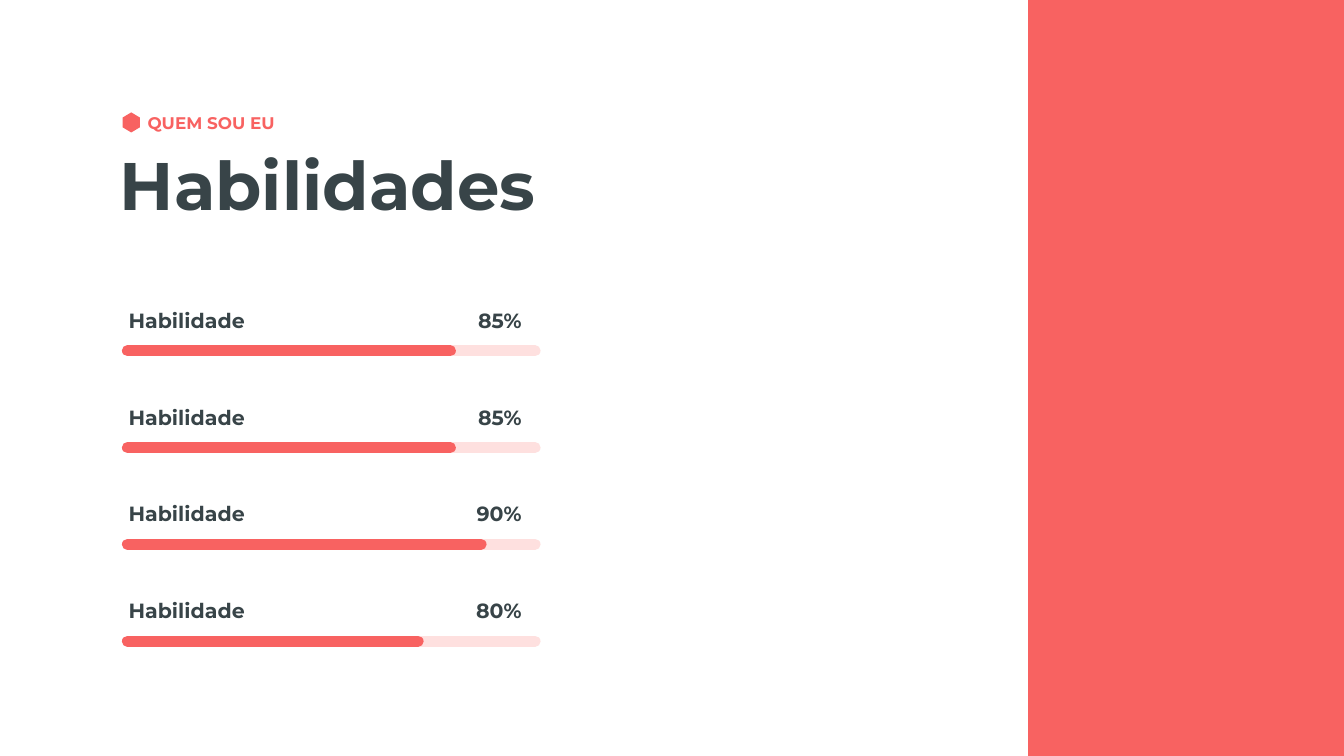
import pptx
import pptx.dml.color
import pptx.enum.shapes
import pptx.enum.text
import pptx.oxml
import pptx.util

Cm = pptx.util.Cm
Pt = pptx.util.Pt
ALIGN = pptx.enum.text.PP_ALIGN
SHAPE = pptx.enum.shapes.MSO_SHAPE

CORAL = "F86261"
PALE = "FEE0DF"
DARK = "384448"

# Name, percentage and length of the coloured bar in cm
SKILLS = [
    ("Habilidade", "85%", 6.1),
    ("Habilidade", "85%", 6.1),
    ("Habilidade", "90%", 6.68),
    ("Habilidade", "80%", 5.49),
]
BAR_LEFT, BAR_LENGTH = 2.41, 7.7
FIRST_BAR, ROW_STEP = 6.63, 1.83


def color(value):
    return pptx.dml.color.RGBColor.from_string(value)


class SlideBuilder:
    font = "Montserrat"

    def __init__(self, slide):
        self.slide = slide

    def set_text(self, shape, text, size, hex_color, align=ALIGN.LEFT, spacing=1.0, wrap=True):
        """Fill the text frame of a shape with one bold paragraph."""
        frame = shape.text_frame
        frame.text = text
        frame.word_wrap = wrap
        frame.auto_size = pptx.enum.text.MSO_AUTO_SIZE.SHAPE_TO_FIT_TEXT
        frame.vertical_anchor = pptx.enum.text.MSO_ANCHOR.TOP
        paragraph = frame.paragraphs[0]
        paragraph.alignment = align
        paragraph.line_spacing = spacing
        font = paragraph.runs[0].font
        font.name, font.size, font.bold = self.font, Pt(size), True
        font.color.rgb = color(hex_color)

    def title(self, text, left, top, width, height):
        shape = self.slide.shapes.title
        shape.left, shape.top = Cm(left), Cm(top)
        shape.width, shape.height = Cm(width), Cm(height)
        self.set_text(shape, text, 36, DARK)

    def label(self, text, left, top, width, height, size, hex_color, **style):
        box = self.slide.shapes.add_textbox(Cm(left), Cm(top), Cm(width), Cm(height))
        self.set_text(box, text, size, hex_color, **style)

    def block(self, kind, left, top, width, height):
        shape = self.slide.shapes.add_shape(kind, Cm(left), Cm(top), Cm(width), Cm(height))
        shape.shadow.inherit = False
        shape.fill.solid()
        shape.fill.fore_color.rgb = color(CORAL)
        shape.line.fill.background()
        return shape

    def bar(self, top, length, hex_color):
        """Draw a thick horizontal line with round ends."""
        connector = self.slide.shapes.add_connector(
            pptx.enum.shapes.MSO_CONNECTOR.STRAIGHT,
            Cm(BAR_LEFT), Cm(top), Cm(BAR_LEFT + length), Cm(top))
        connector.line.width = Pt(6)
        connector.line.color.rgb = color(hex_color)
        properties = connector._element.spPr
        properties.find(pptx.oxml.ns.qn("a:ln")).set("cap", "rnd")
        properties.append(pptx.oxml.parse_xml(
            '<a:effectLst xmlns:a="http://schemas.openxmlformats.org/drawingml/2006/main"/>'))

    def skill(self, top, name, percentage, length):
        text_top = top - 1.17
        self.label(name, 2.18, text_top, 4.42, 0.91, 11, DARK, spacing=1.5)
        self.label(percentage, 5.69, text_top, 4.42, 0.91, 11, DARK,
                   align=ALIGN.RIGHT, spacing=1.5)
        self.bar(top, BAR_LENGTH, PALE)
        self.bar(top, length, CORAL)


def main():
    presentation = pptx.Presentation()
    presentation.slide_width, presentation.slide_height = Cm(25.4), Cm(14.29)
    slide = presentation.slides.add_slide(presentation.slide_layouts[5])
    builder = SlideBuilder(slide)

    builder.block(SHAPE.RECTANGLE, 19.43, 0, 5.97, 14.29)
    builder.title("Habilidades", 2.01, 2.59, 10.06, 1.8)
    builder.label("QUEM SOU EU", 2.54, 2.01, 2.92, 0.64, 9, CORAL, wrap=False)
    hexagon = builder.block(SHAPE.HEXAGON, 2.29, 2.15, 0.38, 0.33)
    hexagon.adjustments[0] = 0.3
    hexagon.rotation = 90

    for row, (name, percentage, length) in enumerate(SKILLS):
        builder.skill(FIRST_BAR + row * ROW_STEP, name, percentage, length)

    presentation.save("out.pptx")


if __name__ == "__main__":
    main()
